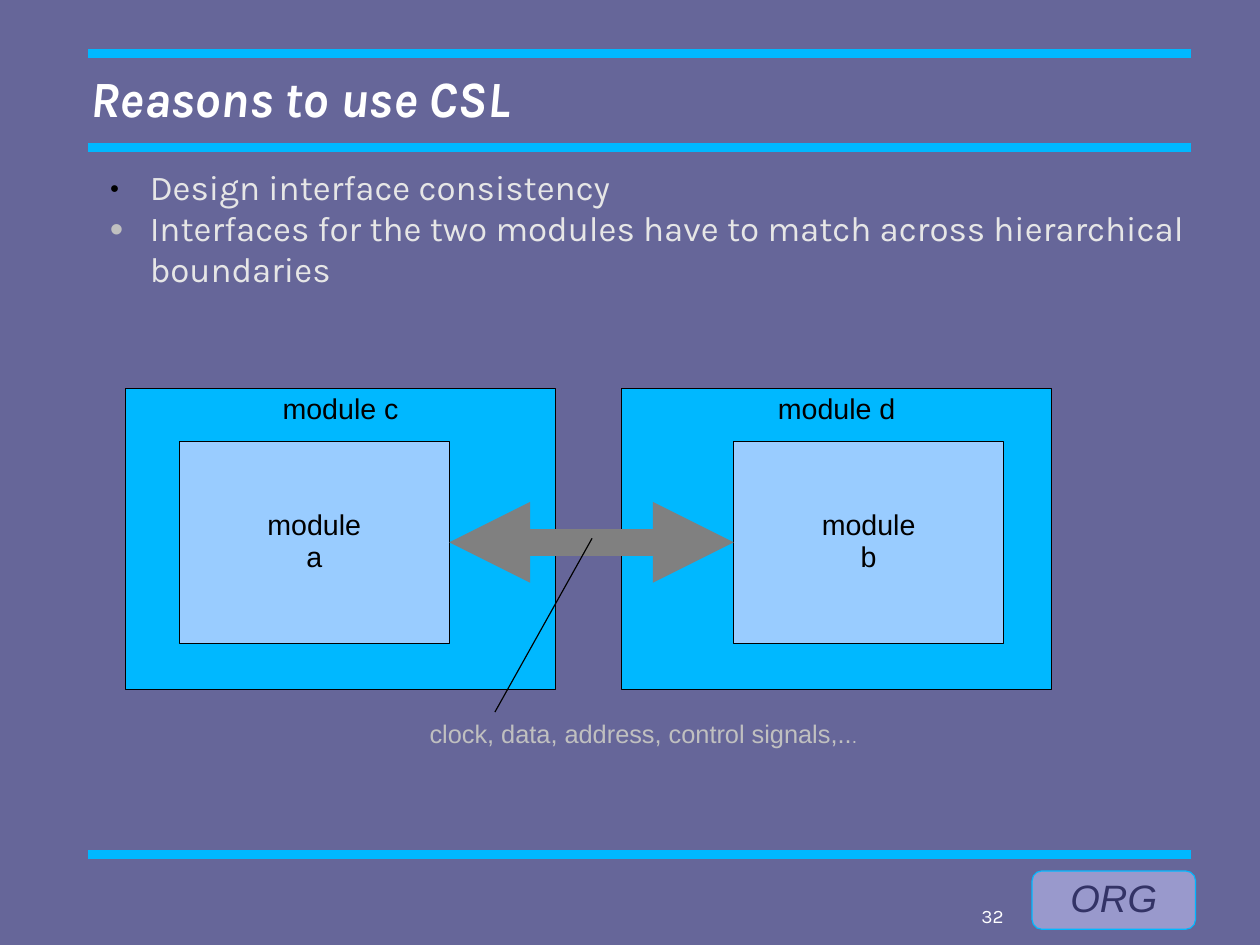
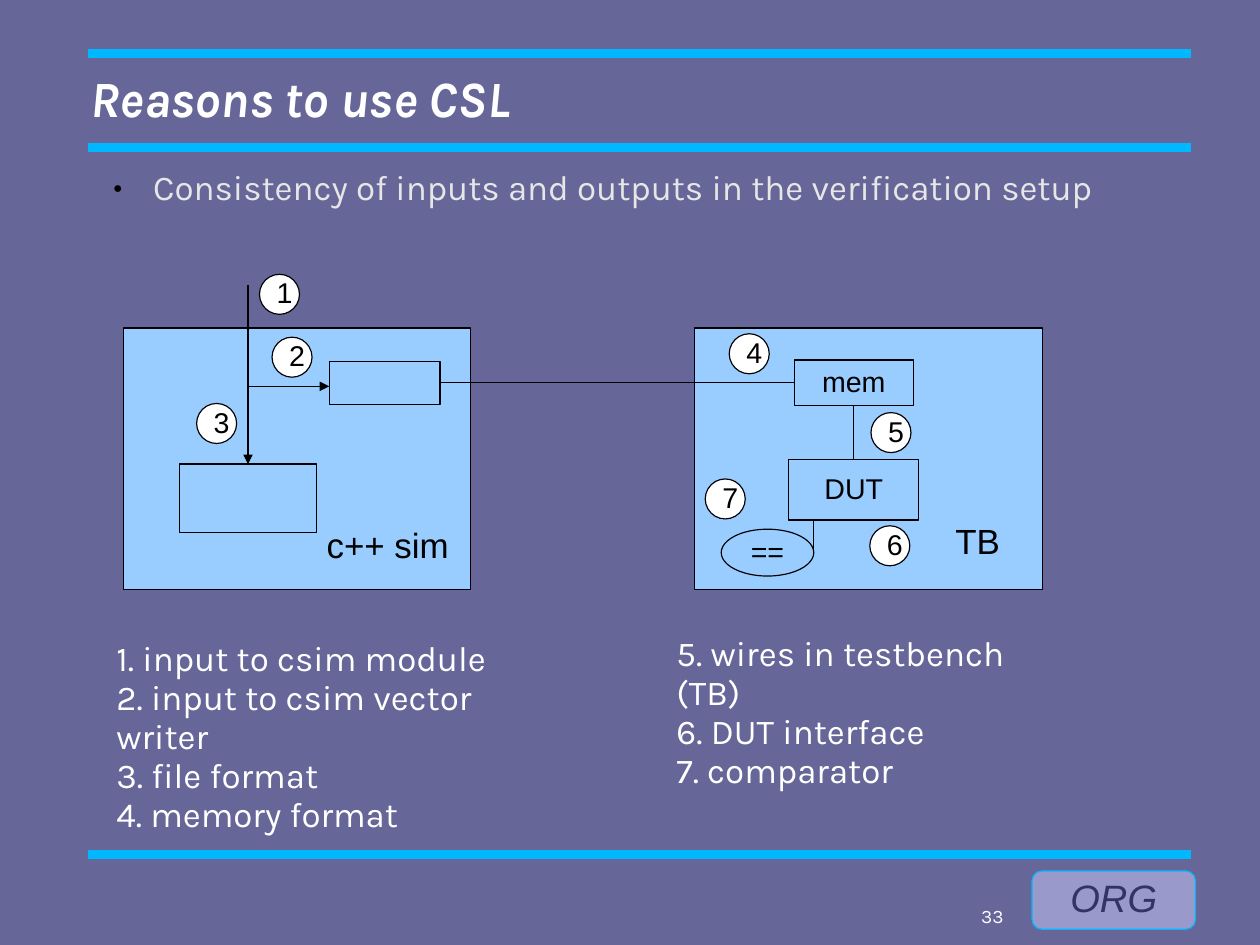
from pptx import Presentation
from pptx.dml.color import RGBColor
from pptx.enum.shapes import MSO_CONNECTOR, MSO_SHAPE
from pptx.enum.text import MSO_ANCHOR, PP_ALIGN
from pptx.oxml.ns import qn
from pptx.util import Inches, Pt
from lxml import etree

# Slide size: 28 by 21 cm
CM_PER_INCH = 2.54
SLIDE_SIZE = Inches(28 / CM_PER_INCH), Inches(21 / CM_PER_INCH)

COLORS = {
    "bg": "666699", "band": "00B8FF", "badge": "9999CC", "badge_text": "333366",
    "block": "99CCFF", "arrow": "808080", "caption": "C0C0C0", "body": "E6E6E6",
    "white": "FFFFFF", "black": "000000",
}

# Text formats: font values plus a colour key
TITLE = dict(name="Karla", size=Pt(32), bold=True, italic=True, color="white")
BODY = dict(name="Karla", size=Pt(22), color="body")
LEGEND = dict(name="Karla", size=Pt(22), color="white")
NUMBER = dict(name="Karla", size=Pt(12), color="white")
LABEL = dict(name="Arial", size=Pt(18), color="black")
NAME = dict(name="Arial", size=Pt(22), color="black")
CAPTION = dict(name="Arial", size=Pt(16), color="caption")
BADGE = dict(name="Arial", size=Pt(24), italic=True, color="badge_text")

# Bullets: character, colour key, size in percent
SMALL_DOT = ("●", "black", 45)
BIG_DOT = ("•", "caption", 110)


def rgb(key):
    return RGBColor.from_string(COLORS[key])


def set_font(font, fmt):
    for key, value in fmt.items():
        if key == "color":
            font.color.rgb = rgb(value)
        else:
            setattr(font, key, value)


def set_insets(tf, x, y):
    for side, inset in dict(left=x, right=x, top=y, bottom=y).items():
        setattr(tf, f"margin_{side}", Inches(inset))


def add_bullet(p, char, color, percent):
    pPr = p._p.get_or_add_pPr()
    pPr.set("marL", str(Inches(0.47)))
    pPr.set("indent", str(Inches(-0.35)))
    clr = etree.SubElement(pPr, qn("a:buClr"))
    etree.SubElement(clr, qn("a:srgbClr"), val=COLORS[color])
    etree.SubElement(pPr, qn("a:buSzPct"), val=str(percent * 1000))
    etree.SubElement(pPr, qn("a:buFont"), typeface="Arial")
    etree.SubElement(pPr, qn("a:buChar"), char=char)


def write(tf, lines, fmt, align=PP_ALIGN.LEFT, spacing=0.93, bullets=()):
    for i, line in enumerate(lines):
        p = tf.paragraphs[0] if i == 0 else tf.add_paragraph()
        p.alignment, p.line_spacing = align, spacing
        if bullets:
            add_bullet(p, *bullets[i])
        r = p.add_run()
        r.text = line
        set_font(r.font, fmt)


def add_text(s, box, lines, fmt, insets=(0.1, 0.05), **layout):
    tf = s.shapes.add_textbox(*map(Inches, box)).text_frame
    tf.word_wrap = True
    set_insets(tf, *insets)
    write(tf, lines, fmt, **layout)
    return tf


def add_block(s, box, lines=(), kind=MSO_SHAPE.RECTANGLE, fill="block", line="black",
              fmt=LABEL, anchor=MSO_ANCHOR.MIDDLE, insets=(0.1, 0.05)):
    sp = s.shapes.add_shape(kind, *map(Inches, box))
    sp.shadow.inherit = False
    sp.fill.solid()
    sp.fill.fore_color.rgb = rgb(fill)
    sp.line.color.rgb = rgb(line)
    sp.line.width = Pt(0.75)
    sp.text_frame.vertical_anchor = anchor
    set_insets(sp.text_frame, *insets)
    write(sp.text_frame, lines, fmt, PP_ALIGN.CENTER)
    return sp


def add_line(s, start=(0, 0), end=(0, 0), color="black", width=0.75,
             begin=None, finish=None, heads=()):
    """Draw a line; begin and finish are (shape, side) joints."""
    cn = s.shapes.add_connector(MSO_CONNECTOR.STRAIGHT, *map(Inches, (*start, *end)))
    if begin:
        cn.begin_connect(*begin)
    if finish:
        cn.end_connect(*finish)
    cn.line.color.rgb = rgb(color)
    cn.line.width = Pt(width)
    spPr = cn._element.spPr
    for head in heads:
        etree.SubElement(spPr.find(qn("a:ln")), qn(f"a:{head}"), type="triangle")
    etree.SubElement(spPr, qn("a:effectLst"))


def add_slide(prs, title, number):
    s = prs.slides.add_slide(prs.slide_layouts[5])
    # Bands and badge
    for y in (0.47, 1.29, 7.48):
        add_line(s, (0.77, y), (10.42, y), "band", 5.67)
    add_block(s, (9.03, 7.62, 1.43, 0.51), ["ORG"], MSO_SHAPE.ROUNDED_RECTANGLE,
              "badge", "band", BADGE, insets=(0, 0))
    # Title and slide number
    sp = s.shapes.title
    sp.left, sp.top, sp.width, sp.height = map(Inches, (0.79, 0.28, 9.41, 1.18))
    tf = sp.text_frame
    tf.vertical_anchor = MSO_ANCHOR.MIDDLE
    set_insets(tf, 0, 0)
    write(tf, [title], TITLE, spacing=0.98)
    add_text(s, (7.9, 7.93, 0.88, 0.23), [str(number)], NUMBER, (0, 0),
             align=PP_ALIGN.RIGHT, spacing=0.95)
    return s


def add_interface_slide(prs):
    s = add_slide(prs, "Reasons to use CSL", 32)
    add_text(s, (0.84, 1.47, 9.59, 6.08),
             ["Design interface consistency",
              "Interfaces for the two modules have to match across hierarchical boundaries"],
             BODY, (0, 0), spacing=0.98, bullets=[SMALL_DOT, BIG_DOT])
    # Outer modules, then the modules inside them
    for x, name in ((1.1, "module c"), (5.44, "module d")):
        add_block(s, (x, 3.4, 3.76, 2.63), [name], fill="band", anchor=MSO_ANCHOR.TOP)
    module_a, module_b = [add_block(s, (x, 3.86, 2.36, 1.77), ["module", name])
                          for x, name in ((1.57, "a"), (6.42, "b"))]
    # Signal bus and its caption
    add_line(s, color="arrow", width=17, begin=(module_a, 3), finish=(module_b, 1),
             heads=("headEnd", "tailEnd"))
    add_line(s, (5.18, 4.71), (4.33, 6.23))
    tf = add_text(s, (3.66, 6.26, 4.1, 0.29),
                  ["clock, data, address, control signals,.."], CAPTION)
    r = tf.paragraphs[0].add_run()
    r.text = "."
    set_font(r.font, {**CAPTION, "size": Pt(12)})


def add_verification_slide(prs):
    s = add_slide(prs, "Reasons to use CSL", 33)
    add_text(s, (0.87, 1.47, 9.59, 6.08),
             ["Consistency of inputs and outputs in the verification setup"],
             BODY, (0, 0), spacing=0.98, bullets=[SMALL_DOT])
    # Simulator and testbench
    for x in (1.08, 6.08):
        add_block(s, (x, 2.87, 3.04, 2.29))
    mem = add_block(s, (6.95, 3.15, 1.04, 0.4), ["mem"])
    dut = add_block(s, (6.9, 4.02, 1.14, 0.53), ["DUT"])
    add_block(s, (6.31, 4.63, 0.81, 0.41), ["=="], MSO_SHAPE.OVAL)
    sim_file = add_block(s, (1.57, 4.06, 1.2, 0.6))
    writer = add_block(s, (2.88, 3.16, 0.97, 0.38))
    # Wires and input arrows
    add_line(s, begin=(writer, 3), finish=(mem, 1))
    add_line(s, begin=(mem, 2), finish=(dut, 0))
    add_line(s, (7.12, 4.55), (7.12, 4.83))
    add_line(s, (2.17, 2.49), finish=(sim_file, 0), heads=("tailEnd",))
    add_line(s, (2.17, 3.38), (2.88, 3.38), heads=("tailEnd",))
    # Numbered markers
    markers = [(2.27, 2.4), (2.38, 2.95), (1.72, 3.53), (6.38, 2.92),
               (7.62, 3.61), (7.61, 4.6), (6.17, 4.19)]
    for number, (x, y) in enumerate(markers, 1):
        add_block(s, (x, y, 0.35, 0.35), [str(number)], MSO_SHAPE.OVAL, "white")
    # Names and legend
    add_text(s, (2.76, 4.56, 1.27, 0.55), ["c++ sim"], NAME)
    add_text(s, (8.26, 4.53, 0.76, 0.55), ["TB"], NAME)
    add_text(s, (0.92, 5.55, 4, 1.46),
             ["1. input to csim module", "2. input to csim vector writer",
              "3. file format", "4. memory format"], LEGEND)
    add_text(s, (5.82, 5.51, 3.66, 1.12),
             ["5. wires in testbench (TB)", "6. DUT interface", "7. comparator"], LEGEND)


def main():
    prs = Presentation()
    prs.slide_width, prs.slide_height = SLIDE_SIZE
    fill = prs.slide_master.background.fill
    fill.solid()
    fill.fore_color.rgb = rgb("bg")
    add_interface_slide(prs)
    add_verification_slide(prs)
    prs.save("out.pptx")


if __name__ == "__main__":
    main()
